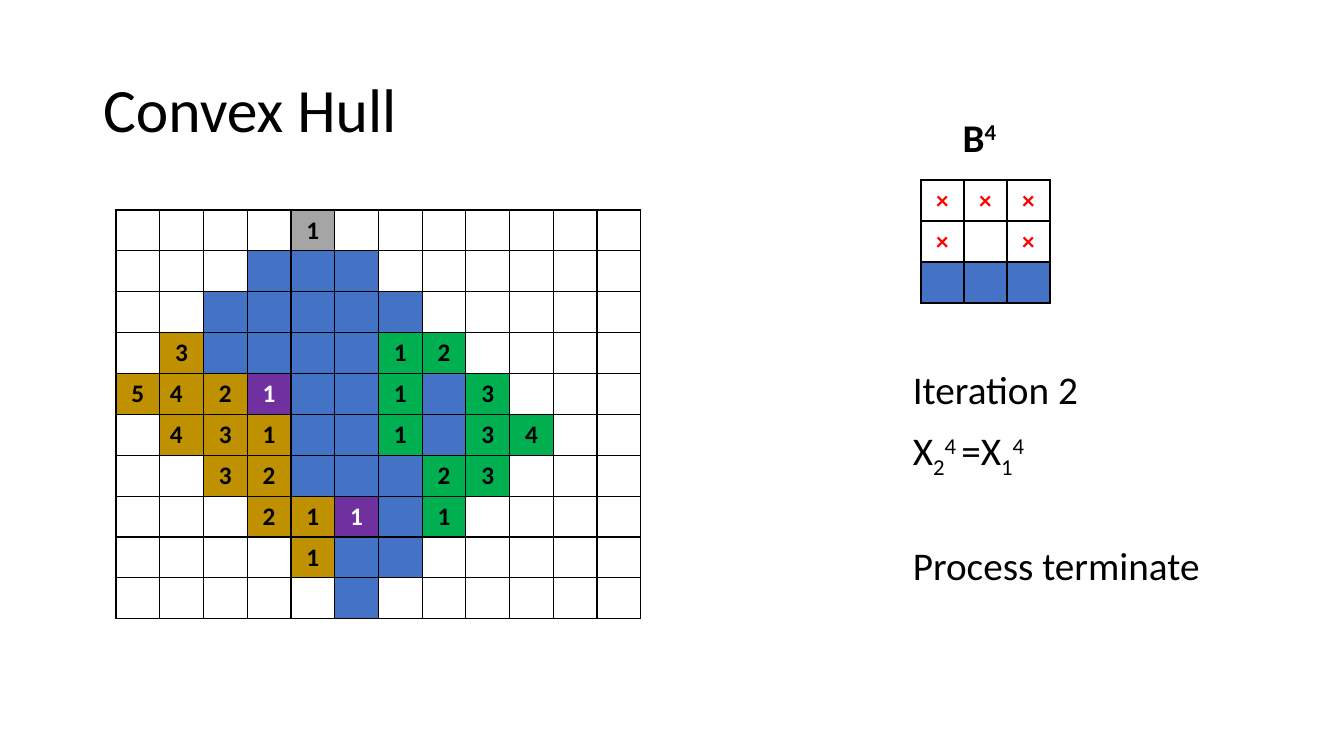
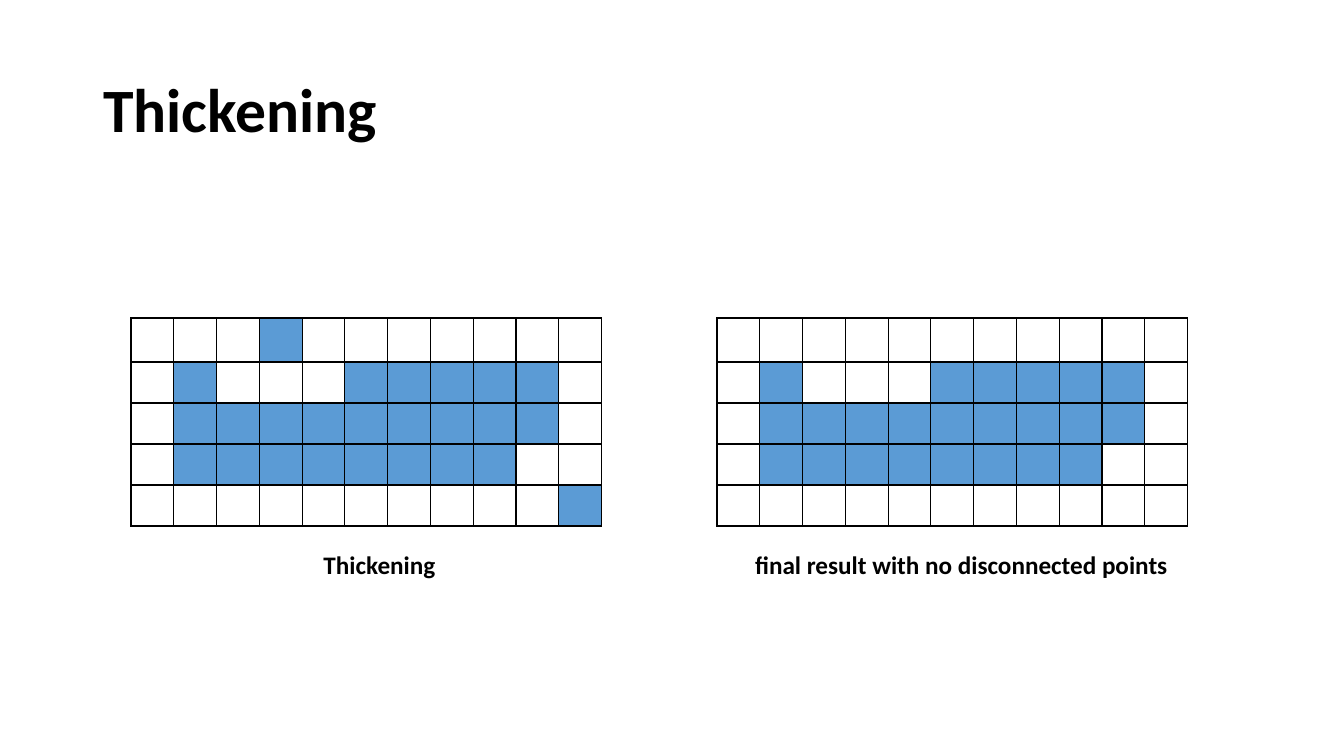
from lxml.etree import SubElement
from pptx import Presentation
from pptx.dml.color import RGBColor
from pptx.enum.text import MSO_ANCHOR, MSO_AUTO_SIZE, PP_ALIGN
from pptx.oxml.ns import qn
from pptx.util import Emu, Pt

EMU_PER_PX = 914400 / 100.8
FONT = "Calibri"
BLACK, WHITE, RED = "000000", "FFFFFF", "FF0000"
BLUE, LIGHT_BLUE, GRAY = "4472C4", "5B9BD5", "A5A5A5"
GOLD, GREEN, PURPLE = "BF9000", "00B050", "7030A0"
SUPER, SUB = 30000, -25000
TITLE_BOX = (93, 40, 1159, 146)

# Cell code: a letter for the style, then the text of the cell
CELL_STYLES = {  # fill, text colour, alignment
    ".": (None, BLACK, PP_ALIGN.CENTER),
    "r": (None, RED, PP_ALIGN.CENTER),
    "b": (BLUE, BLACK, PP_ALIGN.CENTER),
    "t": (LIGHT_BLUE, BLACK, PP_ALIGN.CENTER),
    "a": (GRAY, BLACK, PP_ALIGN.CENTER),
    "o": (GOLD, BLACK, PP_ALIGN.CENTER),
    "l": (GOLD, BLACK, PP_ALIGN.LEFT),
    "g": (GREEN, BLACK, PP_ALIGN.CENTER),
    "p": (PURPLE, WHITE, PP_ALIGN.CENTER),
}

HULL = [
    ". . . . a1 . . . . . . .",
    ". . . b b b . . . . . .",
    ". . b b b b b . . . . .",
    ". o3 b b b b g1 g2 . . . .",
    "o5 l4 o2 p1 b b g1 b g3 . . .",
    ". l4 o3 o1 b b g1 b g3 g4 . .",
    ". . o3 o2 b b b g2 g3 . . .",
    ". . . o2 o1 p1 b g1 . . . .",
    ". . . . o1 b b . . . . .",
    ". . . . . b . . . . . .",
]
STRUCTURING_ELEMENT = ["r× r× r×", "r× . r×", "b b b"]
THICK_BODY = [
    ". t . . . t t t t t .",
    ". t t t t t t t t t .",
    ". t t t t t t t t . .",
]
THICKENED = [". . . t . . . . . . .", *THICK_BODY, ". . . . . . . . . . t"]
FINAL = [". . . . . . . . . . .", *THICK_BODY, ". . . . . . . . . . ."]


def px(length):
    return Emu(round(length * EMU_PER_PX))


def color(hex_string):
    return RGBColor.from_string(hex_string)


def style_font(font, size, bold=False, hex_string=BLACK):
    font.name, font.size, font.bold = FONT, Pt(size), bold
    font.color.rgb = color(hex_string)


def add_title_slide(prs, title, bold=False):
    slide = prs.slides.add_slide(prs.slide_layouts[5])
    heading = slide.shapes.title
    heading.left, heading.top, heading.width, heading.height = map(px, TITLE_BOX)
    frame = heading.text_frame
    frame.text = title
    frame.auto_size = MSO_AUTO_SIZE.NONE
    frame.vertical_anchor = MSO_ANCHOR.MIDDLE
    paragraph = frame.paragraphs[0]
    paragraph.alignment, paragraph.line_spacing = PP_ALIGN.LEFT, 0.9
    style_font(paragraph.font, 44, bold)
    return slide


def add_borders(cell):
    properties = cell._tc.get_or_add_tcPr()
    for side in ("lnL", "lnR", "lnT", "lnB"):
        line = SubElement(properties, qn(f"a:{side}"), w=str(Pt(1)))
        fill = SubElement(line, qn("a:solidFill"))
        SubElement(fill, qn("a:srgbClr"), val=BLACK)


def fill_cell(cell, code):
    fill, text_color, alignment = CELL_STYLES[code[0]]
    add_borders(cell)
    if fill:
        cell.fill.solid()
        cell.fill.fore_color.rgb = color(fill)
    else:
        cell.fill.background()
    cell.text = code[1:]
    paragraph = cell.text_frame.paragraphs[0]
    paragraph.alignment = alignment
    style_font(paragraph.font, 18, True, text_color)


def add_pixel_grid(slide, box, rows, first_row_height=None):
    """Place a grid of equal cells; the first row may be taller."""
    left, top, width, height = box
    codes = [row.split() for row in rows]
    first = first_row_height or height / len(codes)
    other = (height - first) / (len(codes) - 1)
    table = slide.shapes.add_table(len(codes), len(codes[0]), *map(px, box)).table
    table.first_row = table.horz_banding = False
    for column in table.columns:
        column.width = px(width / len(codes[0]))
    for r, row in enumerate(codes):
        table.rows[r].height = px(other if r else first)
        for c, code in enumerate(row):
            fill_cell(table.cell(r, c), code)


def add_text(slide, box, lines, size, bold=False, alignment=PP_ALIGN.CENTER,
             anchor=MSO_ANCHOR.MIDDLE, line_spacing=1.0, gaps=(0,)):
    """Place lines of (text, baseline) runs, with a gap in points before each."""
    frame = slide.shapes.add_textbox(*map(px, box)).text_frame
    frame.word_wrap = True
    frame.vertical_anchor = anchor
    for i, (runs, gap) in enumerate(zip(lines, gaps)):
        paragraph = frame.add_paragraph() if i else frame.paragraphs[0]
        paragraph.alignment, paragraph.line_spacing = alignment, line_spacing
        if gap:
            paragraph.space_before = Pt(gap)
        style_font(paragraph.font, size, bold)
        for text, baseline in runs:
            run = paragraph.add_run()
            run.text = text
            if baseline:
                run._r.get_or_add_rPr().set("baseline", str(baseline))


def add_structuring_element(slide, left, top):
    add_text(slide, (left + 8, top, 101, 101), [[("B", 0), ("4", SUPER)]], 28, True)
    add_pixel_grid(slide, (left, top + 94, 129, 123), STRUCTURING_ELEMENT)


def add_iteration_notes(slide, box):
    lines = [
        [("Iteration 2", 0)],
        [("X", 0), ("2", SUB), ("4 ", SUPER), ("=X", 0), ("1", SUB), ("4", SUPER)],
        [("Process terminate", 0)],
    ]
    add_text(slide, box, lines, 28, alignment=PP_ALIGN.LEFT,
             anchor=MSO_ANCHOR.TOP, line_spacing=0.9, gaps=(0, 10, 51))


def add_captioned_grid(slide, left, top, rows, caption, caption_shift):
    width, height = 471, 208
    add_pixel_grid(slide, (left, top, width, height), rows, first_row_height=44)
    add_text(slide, (left + caption_shift, top + height - 12, width, 101),
             [[(caption, 0)]], 18, True)


def build_convex_hull(prs):
    slide = add_title_slide(prs, "Convex Hull")
    add_pixel_grid(slide, (116, 210, 525, 409), HULL)
    add_structuring_element(slide, 921, 86)
    add_iteration_notes(slide, (903, 366, 335, 242))


def build_thickening(prs):
    slide = add_title_slide(prs, "Thickening", bold=True)
    add_captioned_grid(slide, 131, 318, THICKENED, "Thickening", 13)
    add_captioned_grid(slide, 717, 318, FINAL,
                       "final result with no disconnected points", 9)


def main():
    prs = Presentation()
    prs.slide_width, prs.slide_height = px(1344), px(756)
    build_convex_hull(prs)
    build_thickening(prs)
    prs.save("out.pptx")


if __name__ == "__main__":
    main()
